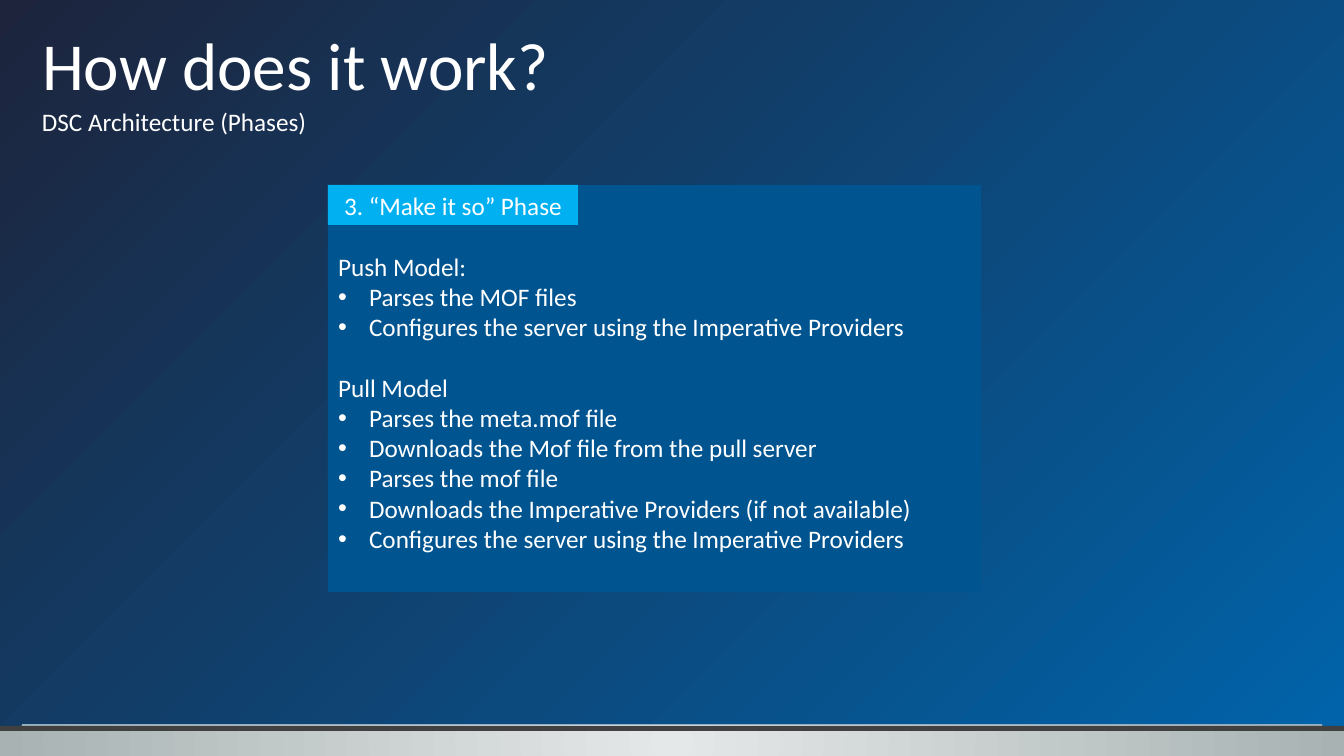
from lxml.etree import SubElement
from pptx import Presentation
from pptx.dml.color import RGBColor
from pptx.enum.shapes import MSO_CONNECTOR, MSO_SHAPE
from pptx.enum.text import MSO_ANCHOR, MSO_AUTO_SIZE, PP_ALIGN
from pptx.oxml.ns import qn
from pptx.util import Pt

PX = 914400 / 100.8
FONT = "Calibri"
WHITE = RGBColor(0xFF, 0xFF, 0xFF)
NAVY = RGBColor(0x1D, 0x24, 0x3C)
BLUE = RGBColor(0x00, 0x64, 0xAB)
PANEL_BLUE = RGBColor(0x00, 0x54, 0x90)
CYAN = RGBColor(0x00, 0xB0, 0xF0)
SILVER = RGBColor(0xE5, 0xE8, 0xE8)
GREY = RGBColor(0xA8, 0xB2, 0xB2)
CHARCOAL = RGBColor(0x40, 0x40, 0x40)
RULE_BLUE = RGBColor(0x8F, 0xB0, 0xCC)

LINE_GAP = Pt(21.6)
MODELS = {
    "Push Model:": [
        "Parses the MOF files",
        "Configures the server using the Imperative Providers",
    ],
    "Pull Model": [
        "Parses the meta.mof file",
        "Downloads the Mof file from the pull server",
        "Parses the mof file",
        "Downloads the Imperative Providers (if not available)",
        "Configures the server using the Imperative Providers",
    ],
}


def px(length):
    return round(length * PX)


def place(shape, left, top, width, height):
    shape.left, shape.top = px(left), px(top)
    shape.width, shape.height = px(width), px(height)


def radial_fill(fill, owner, inner, outer, focus):
    """Fill with a circular gradient; focus gives left, top, right, bottom in percent."""
    fill.gradient()
    for stop, color, position in zip(fill.gradient_stops, (inner, outer), (0, 1)):
        stop.color.rgb = color
        stop.position = position
    gradient = next(owner.iter(qn("a:gradFill")))
    gradient.remove(gradient.find(qn("a:lin")))
    path = SubElement(gradient, qn("a:path"), {"path": "circle"})
    sides = {side: str(percent * 1000) for side, percent in zip("ltrb", focus)}
    SubElement(path, qn("a:fillToRect"), sides)


def add_block(page, left, top, width, height, color):
    block = page.shapes.add_shape(
        MSO_SHAPE.RECTANGLE, px(left), px(top), px(width), px(height))
    block.shadow.inherit = False
    block.line.fill.background()
    block.fill.solid()
    block.fill.fore_color.rgb = color
    return block


def style_font(para, size=18):
    for span in para.runs:
        span.font.name = FONT
        span.font.size = Pt(size)
        span.font.color.rgb = WHITE


def set_bullet(para, bulleted):
    properties = para._p.get_or_add_pPr()
    indent = px(31) if bulleted else 0
    properties.set("marL", str(indent))
    properties.set("indent", str(-indent))
    if bulleted:
        SubElement(properties, qn("a:buFont"), {"typeface": "Arial"})
        SubElement(properties, qn("a:buChar"), {"char": "•"})
    else:
        SubElement(properties, qn("a:buNone"))


def add_footer(page):
    band = add_block(page, 0, 726, 1344, 30, SILVER)
    radial_fill(band.fill, band._element, SILVER, GREY, (50, 50, 50, 50))
    add_block(page, 0, 726, 1344, 5, CHARCOAL)
    rule = page.shapes.add_connector(
        MSO_CONNECTOR.STRAIGHT, px(22), px(725), px(1322), px(725))
    rule.line.color.rgb = RULE_BLUE
    rule.line.width = Pt(0.75)
    SubElement(rule._element.spPr, qn("a:effectLst"))


def fill_title(title):
    place(title, 32, 33, 1293, 76)
    frame = title.text_frame
    frame.text = "How does it work?"
    frame.auto_size = MSO_AUTO_SIZE.NONE
    frame.vertical_anchor = MSO_ANCHOR.BOTTOM
    para = frame.paragraphs[0]
    para.alignment = PP_ALIGN.JUSTIFY
    para.line_spacing = 0.8
    para.space_before = Pt(18)
    style_font(para, 48)


def add_subtitle(page):
    box = page.shapes.add_textbox(px(32), px(101), px(295), px(40))
    box.text_frame.text = "DSC Architecture (Phases)"
    style_font(box.text_frame.paragraphs[0])


def fill_panel(panel):
    place(panel, 328, 185, 653, 407)
    panel.fill.solid()
    panel.fill.fore_color.rgb = PANEL_BLUE
    frame = panel.text_frame
    frame.auto_size = MSO_AUTO_SIZE.NONE
    frame.vertical_anchor = MSO_ANCHOR.TOP
    frame.margin_top = px(66)
    lines = [(text, text in MODELS)
             for model, steps in MODELS.items() for text in (model, *steps)]
    for number, (text, is_heading) in enumerate(lines):
        para = frame.add_paragraph() if number else frame.paragraphs[0]
        para.text = text
        para.space_before = LINE_GAP if is_heading and number else Pt(0)
        set_bullet(para, not is_heading)
        style_font(para)


def add_phase_label(page):
    label = add_block(page, 328, 185, 250, 40, CYAN)
    label.text_frame.text = "3. “Make it so” Phase"
    label.text_frame.vertical_anchor = MSO_ANCHOR.MIDDLE
    para = label.text_frame.paragraphs[0]
    para.alignment = PP_ALIGN.CENTER
    style_font(para)


def main():
    deck = Presentation()
    deck.slide_width, deck.slide_height = px(1344), px(756)
    page = deck.slides.add_slide(deck.slide_layouts[1])
    radial_fill(page.background.fill, page._element, NAVY, BLUE, (0, 0, 100, 100))
    add_footer(page)
    fill_title(page.shapes.title)
    add_subtitle(page)
    fill_panel(page.placeholders[1])
    add_phase_label(page)
    deck.save("out.pptx")


if __name__ == "__main__":
    main()
